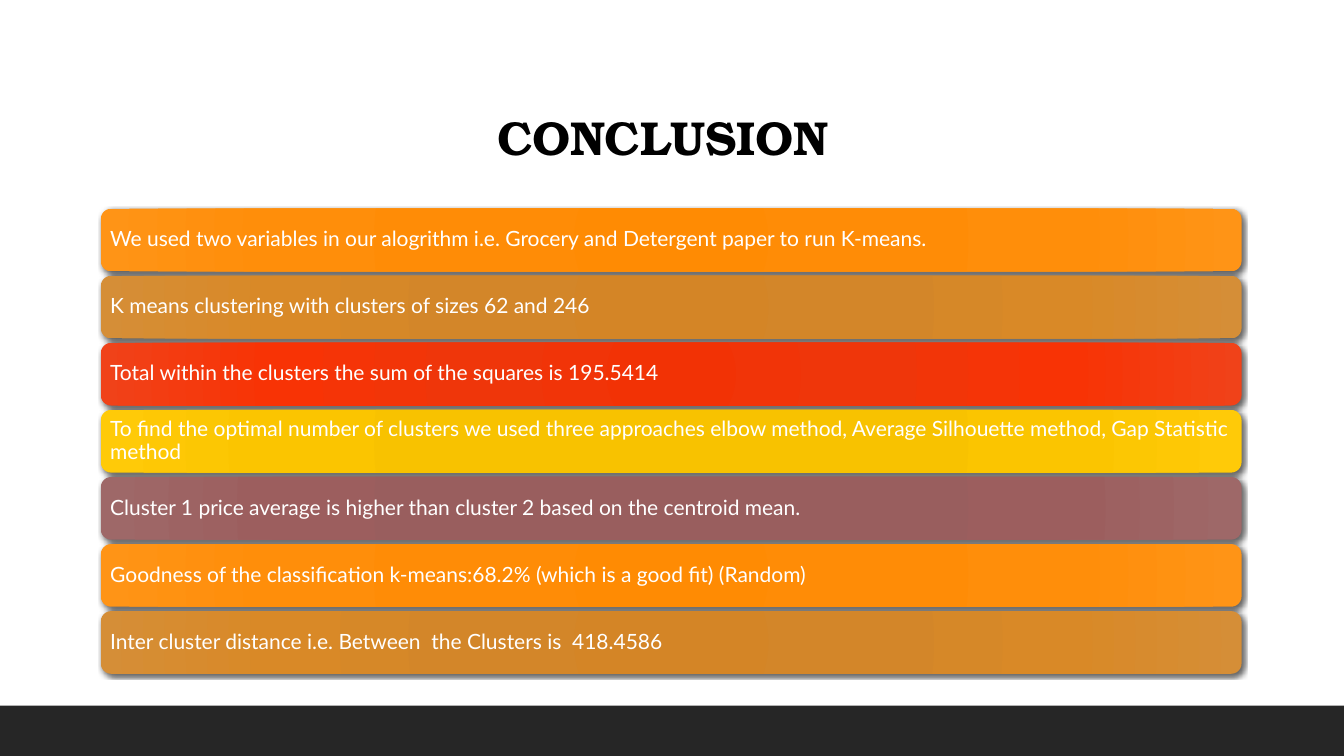
import pptx
import pptx.util
import pptx.oxml
import pptx.oxml.ns
import pptx.dml.color
import pptx.enum.shapes
import pptx.enum.text

Cm = pptx.util.Cm
Pt = pptx.util.Pt
Shape = pptx.enum.shapes.MSO_SHAPE
Align = pptx.enum.text.PP_ALIGN
Anchor = pptx.enum.text.MSO_ANCHOR

TITLE = "CONCLUSION "
POINTS = [
    ("We used two variables in our alogrithm i.e. Grocery and Detergent paper to run K-means.", "orange"),
    ("K means clustering with clusters of sizes 62 and 246", "ochre"),
    ("Total within the clusters the sum of the squares is 195.5414", "red"),
    ("To find the optimal number of clusters we used three approaches elbow method, "
     "Average Silhouette method, Gap Statistic method", "yellow"),
    ("Cluster 1 price average is higher than cluster 2 based on the centroid mean.", "mauve"),
    ("Goodness of the classification k-means:68.2% (which is a good fit) (Random)", "orange"),
    ("Inter cluster distance i.e. Between  the Clusters is  418.4586", "ochre"),
]
COLORS = {"black": "000000", "white": "FFFFFF", "footer": "262626"}
BLENDS = {
    "orange": ("FF8B03", "FF8C06", "FF8E0A", "FF9416"),
    "ochre": ("D48526", "D38629", "D98927", "D58E37"),
    "red": ("F23205", "EF360A", "F83305", "F04219"),
    "yellow": ("F5C000", "F8C200", "FBC500", "FFCA08"),
    "mauve": ("985C5C", "995E5E", "9C5E5E", "9E6868"),
}
STOPS = (0, 34, 70, 100)
WIDE, HIGH = 33.87, 19.05
LEFT, SPAN = 2.54, 28.75
TOP, BAR, PITCH = 5.26, 1.58, 1.69
FOOT = 1.27


def rgb(name):
    return pptx.dml.color.RGBColor.from_string(COLORS[name])


def style(para, face, size, color, bold=False):
    para.line_spacing = 0.9
    para.font.name = face
    para.font.size = Pt(size)
    para.font.bold = bold
    para.font.color.rgb = rgb(color)


def block(slide, kind, left, top, width, height):
    shape = slide.shapes.add_shape(kind, Cm(left), Cm(top), Cm(width), Cm(height))
    shape.shadow.inherit = False
    shape.line.fill.background()
    return shape


def blend(shape, hues):
    ns = pptx.oxml.ns.nsdecls("a")
    stops = "".join(
        f'<a:gs pos="{pos * 1000}"><a:srgbClr val="{hue}"/></a:gs>'
        for pos, hue in zip(STOPS, hues)
    )
    props = shape.element.spPr
    props.find(pptx.oxml.ns.qn("a:prstGeom")).addnext(pptx.oxml.parse_xml(
        f'<a:gradFill {ns} rotWithShape="1"><a:gsLst>{stops}</a:gsLst>'
        '<a:path path="circle"><a:fillToRect l="100000" t="100000" '
        'r="100000" b="100000"/></a:path></a:gradFill>'
    ))
    props.find(pptx.oxml.ns.qn("a:effectLst")).append(pptx.oxml.parse_xml(
        f'<a:outerShdw {ns} blurRad="{Pt(3)}" dist="{Pt(2)}" dir="2700000" '
        f'rotWithShape="0"><a:srgbClr val="{COLORS["black"]}">'
        '<a:alpha val="60000"/></a:srgbClr></a:outerShdw>'
    ))


def add_title(slide):
    box = slide.shapes.add_textbox(Cm(LEFT), Cm(1.7), Cm(SPAN), Cm(3.68))
    frame = box.text_frame
    frame.word_wrap = True
    frame.vertical_anchor = Anchor.MIDDLE
    para = frame.paragraphs[0]
    para.text = TITLE
    para.alignment = Align.CENTER
    para.space_after = Pt(6)
    style(para, "TeX Gyre Bonum", 34, "black", True)


def add_bar(slide, row, text, tone):
    bar = block(slide, Shape.ROUNDED_RECTANGLE, LEFT, TOP + row * PITCH, SPAN, BAR)
    blend(bar, BLENDS[tone])
    frame = bar.text_frame
    frame.word_wrap = True
    frame.vertical_anchor = Anchor.MIDDLE
    frame.margin_left = frame.margin_right = Cm(0.16)
    frame.margin_top = frame.margin_bottom = Cm(0.16)
    para = frame.paragraphs[0]
    para.text = text
    para.alignment = Align.LEFT
    style(para, "Lato", 15, "white")


def main():
    deck = pptx.Presentation()
    deck.slide_width, deck.slide_height = Cm(WIDE), Cm(HIGH)
    slide = deck.slides.add_slide(deck.slide_layouts[6])
    foot = block(slide, Shape.RECTANGLE, 0, HIGH - FOOT, WIDE, FOOT)
    foot.fill.solid()
    foot.fill.fore_color.rgb = rgb("footer")
    add_title(slide)
    for row, (text, tone) in enumerate(POINTS):
        add_bar(slide, row, text, tone)
    deck.save("out.pptx")


if __name__ == "__main__":
    main()
